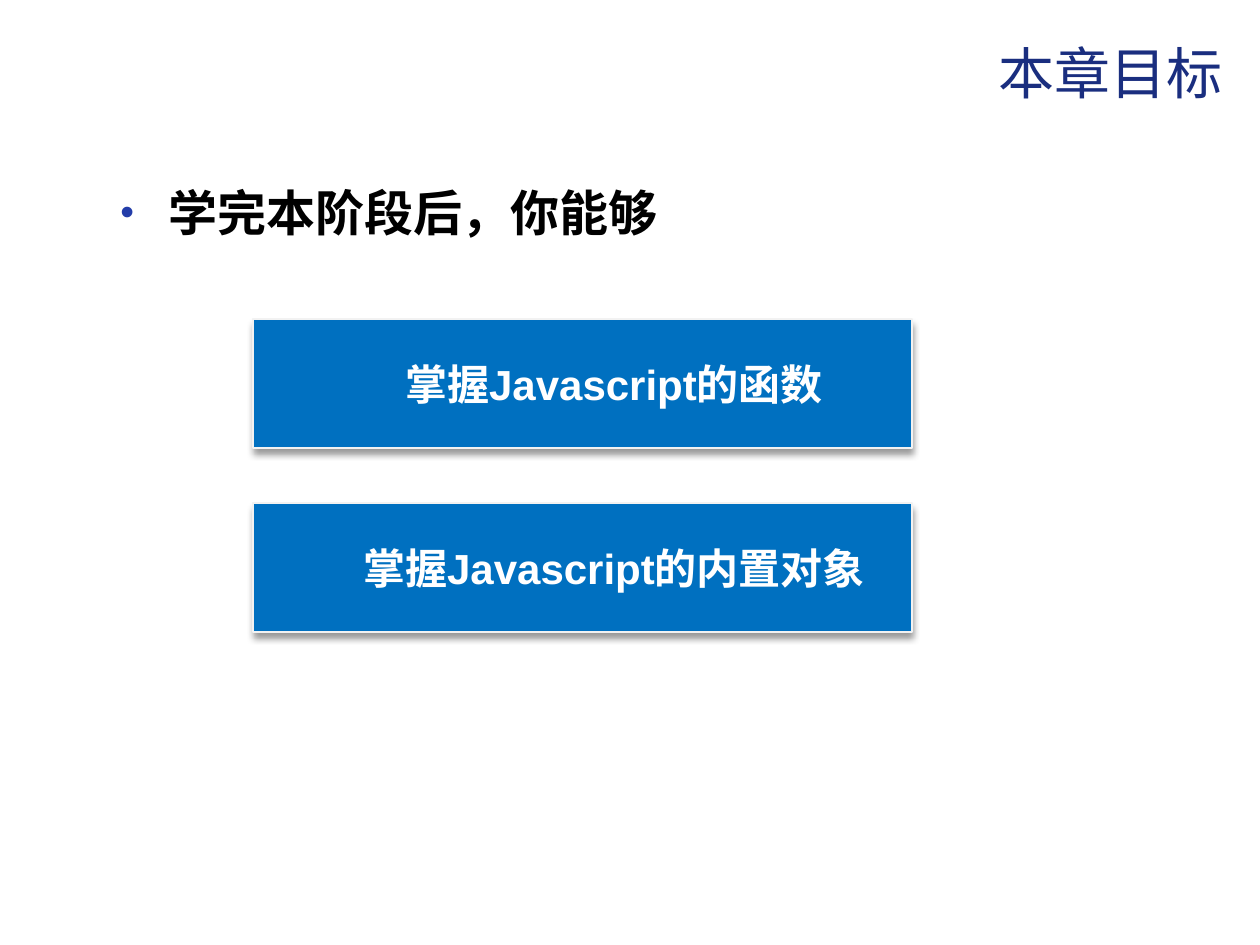
from lxml import etree
from pptx import Presentation
from pptx.dml.color import RGBColor
from pptx.enum.shapes import MSO_SHAPE as SHAPE
from pptx.enum.text import MSO_ANCHOR as ANCHOR, PP_ALIGN as ALIGN
from pptx.oxml import parse_xml
from pptx.oxml.ns import qn
from pptx.util import Emu, Pt

TITLE = "本章目标"
LEAD = "学完本阶段后，你能够"
GOALS = ["掌握Javascript的函数", "掌握Javascript的内置对象"]

TITLE_BOX = (101, 11, 1134, 123)
LEAD_BOX = (108, 176, 1053, 110)
GOAL_BOX = (253, 319, 659, 129)
GOAL_STEP = 184

TITLE_FONT = {"size": Pt(32), "name": "Arial", "bold": False}
LEAD_FONT = {"size": Pt(28), "name": "Arial", "bold": True}
GOAL_FONT = {"size": Pt(24), "name": "Arial", "bold": True}

NS = 'xmlns:a="http://schemas.openxmlformats.org/drawingml/2006/main"'
SHADOW = (
    f'<a:effectLst {NS}><a:outerShdw blurRad="{Pt(4)}" dist="{Pt(3)}" dir="5400000" '
    'algn="ctr" rotWithShape="0"><a:srgbClr val="000000"><a:alpha val="40000"/>'
    '</a:srgbClr></a:outerShdw></a:effectLst>'
)
BULLET = [
    f'<a:buClr {NS}><a:srgbClr val="233DA9"/></a:buClr>',
    f'<a:buSzPct {NS} val="80000"/>',
    f'<a:buFont {NS} typeface="Arial"/>',
    f'<a:buChar {NS} char="•"/>',
]


def px(n):
    return Emu(round(n * 914400 / 126))


def rgb(value):
    return RGBColor.from_string(value)


def write(s, text, font, color, align, anchor):
    tf = s.text_frame
    tf.word_wrap = True
    tf.vertical_anchor = anchor
    p = tf.paragraphs[0]
    p.alignment = align
    r = p.add_run()
    r.text = text
    for key, value in font.items():
        setattr(r.font, key, value)
    r.font.color.rgb = rgb(color)
    return p


def indent(p, left, hanging):
    pPr = p._p.get_or_add_pPr()
    pPr.set("marL", str(px(left)))
    pPr.set("indent", str(-px(hanging)))
    etree.SubElement(etree.SubElement(pPr, qn("a:spcBef")), qn("a:spcPct")).set("val", "20000")
    return pPr


def add_goal(slide, index, text):
    left, top, width, height = GOAL_BOX
    box = (left, top + index * GOAL_STEP, width, height)
    s = slide.shapes.add_shape(SHAPE.RECTANGLE, *map(px, box))
    s.fill.solid()
    s.fill.fore_color.rgb = rgb("0070C0")
    s.line.color.rgb = rgb("F2F2F2")
    s.line.width = Pt(0.75)
    s._element.spPr.append(parse_xml(SHADOW))
    p = write(s, text, GOAL_FONT, "FFFFFF", ALIGN.CENTER, ANCHOR.MIDDLE)
    p.level = 1
    indent(p, 102, 39)


def main():
    prs = Presentation()
    prs.slide_width, prs.slide_height = px(1260), px(945)
    slide = prs.slides.add_slide(prs.slide_layouts[6])

    lead = slide.shapes.add_textbox(*map(px, LEAD_BOX))
    p = write(lead, LEAD, LEAD_FONT, "000000", ALIGN.LEFT, ANCHOR.TOP)
    pPr = indent(p, 48, 48)
    for xml in BULLET:
        pPr.append(parse_xml(xml))

    title = slide.shapes.add_textbox(*map(px, TITLE_BOX))
    write(title, TITLE, TITLE_FONT, "1A2E7F", ALIGN.RIGHT, ANCHOR.MIDDLE)

    for index, text in enumerate(GOALS):
        add_goal(slide, index, text)

    prs.save("out.pptx")


if __name__ == "__main__":
    main()
